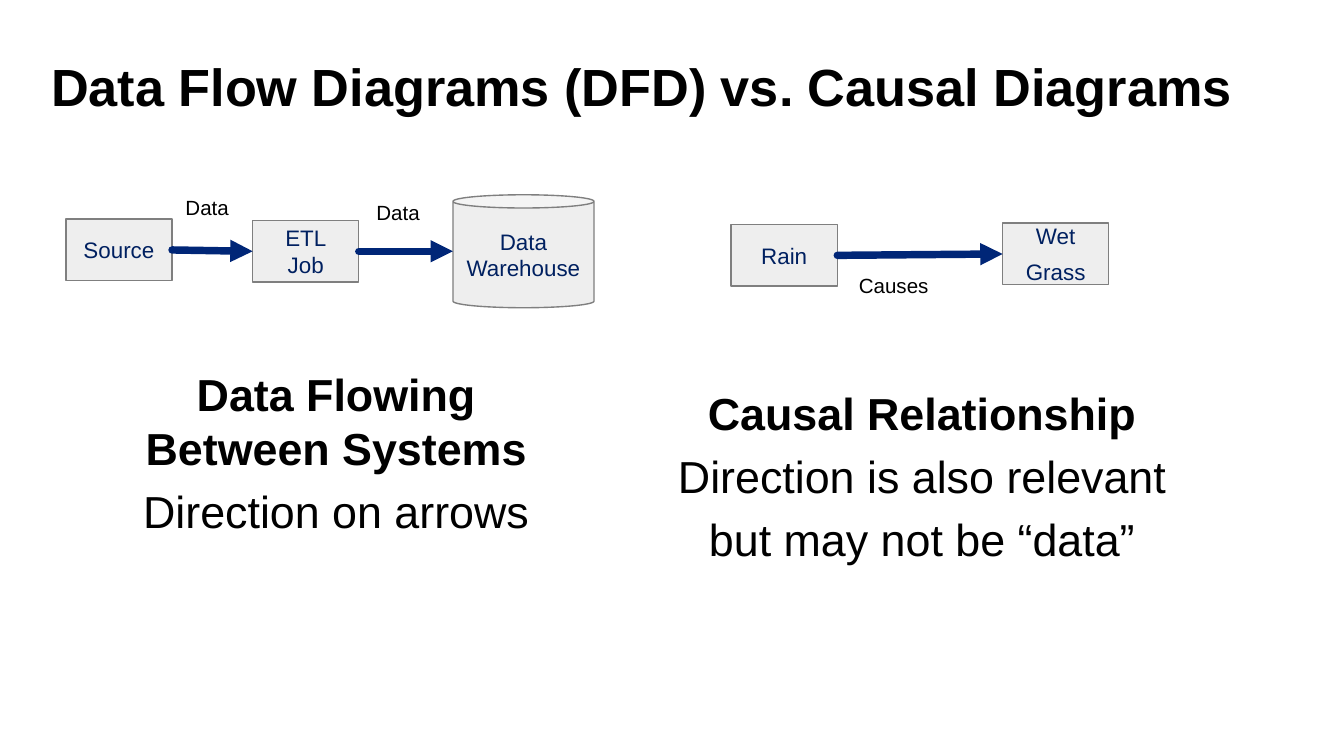
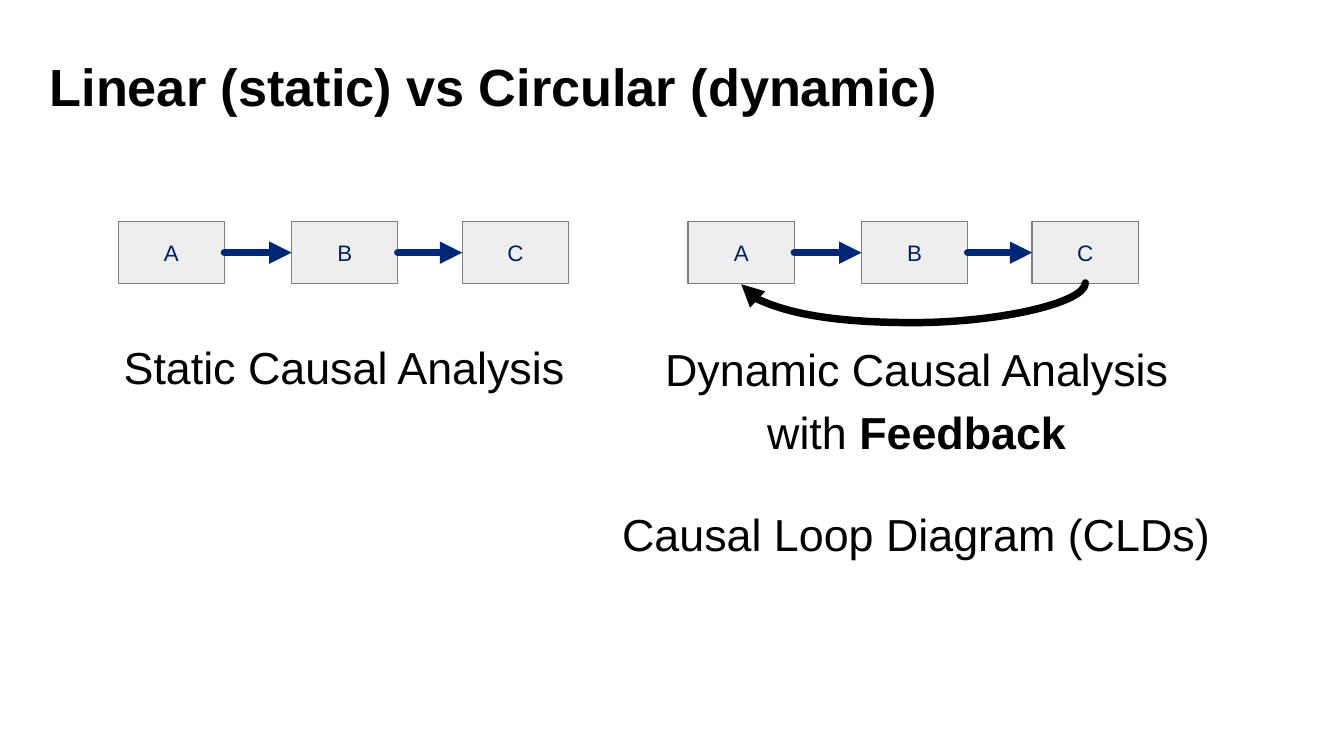
from lxml import etree
from pptx import Presentation
from pptx.dml.color import RGBColor
from pptx.enum import shapes, text
from pptx.oxml import ns
from pptx.util import Inches, Pt

FONT = "Arial"
BLACK, NAVY, ARROW_BLUE = "000000", "002060", "002677"
BOX_FILL, BOX_LINE = "EEEEEE", "7F7F7F"
BOX_WIDTH, BOX_HEIGHT = 0.79, 0.46
LEFT, CENTER = text.PP_ALIGN.LEFT, text.PP_ALIGN.CENTER

# Content: nodes are (name, lines, left, top, space before later lines);
# captions are (place, size, alignment, paragraphs of (words, bold) spans)
CHAIN = [("A", 0), ("B", 1.29), ("C", 2.56)]


def chain_nodes(prefix, left):
    return [(prefix + name, [name], left + offset, 1.65, 0) for name, offset in CHAIN]


SLIDES = [
    {
        "title": "Data Flow Diagrams (DFD) vs. Causal Diagrams",
        "title_place": (0.38, 0.46, 9.26, 0.42),
        "nodes": [
            ("source", ["Source"], 0.49, 1.63, 0),
            ("job", ["ETL", "Job"], 1.88, 1.64, 0),
            ("rain", ["Rain"], 5.44, 1.67, 0),
            ("grass", ["Wet", "Grass"], 7.46, 1.66, 5),
        ],
        "store": ("warehouse", ["Data", "Warehouse"], (3.37, 1.45, 1.05, 0.84)),
        "flows": [("source", "job"), ("job", "warehouse"), ("rain", "grass")],
        "captions": [
            ((1.04, 2.73, 2.92, 1.28), 24, CENTER,
             [[("Data Flowing\vBetween Systems", True)], [("Direction on arrows", False)]]),
            ((5.03, 2.87, 3.66, 1.35), 24, CENTER,
             [[("Causal Relationship", True)], [("Direction is also relevant", False)],
              [("but may not be “data”", False)]]),
            ((6.39, 2.03, 0.66, 0.19), 11, LEFT, [[("Causes", False)]]),
            ((1.38, 1.45, 0.4, 0.19), 11, LEFT, [[("Data", False)]]),
            ((2.8, 1.49, 0.44, 0.19), 11, LEFT, [[("Data", False)]]),
        ],
    },
    {
        "title": "Linear (static) vs Circular (dynamic)",
        "title_place": (0.37, 0.46, 7.88, 0.42),
        "nodes": chain_nodes("static ", 0.88) + chain_nodes("dynamic ", 5.12),
        "flows": [(kind + start, kind + end) for kind in ("static ", "dynamic ")
                  for start, end in ("AB", "BC")],
        "feedback": ("dynamic C", "dynamic A"),
        "captions": [
            ((0.92, 2.53, 3.31, 0.4), 24, LEFT, [[("Static Causal Analysis", False)]]),
            ((4.93, 2.54, 3.78, 0.88), 24, CENTER,
             [[("Dynamic Causal Analysis", False)], [("with ", False), ("Feedback", True)]]),
            ((4.61, 3.77, 4.41, 0.4), 24, CENTER, [[("Causal Loop Diagram (CLDs)", False)]]),
        ],
    },
]


def color(value):
    return RGBColor.from_string(value)


def write(frame, paragraphs, size, ink, align, gap=0, margins=(0, 0)):
    """Fill a text frame with paragraphs made of (words, bold) spans."""
    frame.word_wrap = True
    frame.margin_left = frame.margin_right = Inches(margins[0])
    frame.margin_top = frame.margin_bottom = Inches(margins[1])
    for index, spans in enumerate(paragraphs):
        para = frame.paragraphs[0] if index == 0 else frame.add_paragraph()
        para.alignment = align
        para.space_before = Pt(gap if index else 0)
        for words, bold in spans:
            # A vertical tab marks a line break inside the paragraph
            for part, line in enumerate(words.split("\v")):
                if part:
                    para.add_line_break()
                span = para.add_run()
                span.text = line
                span.font.name, span.font.size, span.font.bold = FONT, Pt(size), bold
                span.font.color.rgb = color(ink)


def add_title(page, words, place):
    title = page.shapes.title
    title.left, title.top, title.width, title.height = map(Inches, place)
    frame = title.text_frame
    write(frame, [[(words, True)]], 28, BLACK, LEFT)
    frame.vertical_anchor = text.MSO_ANCHOR.TOP
    frame.auto_size = text.MSO_AUTO_SIZE.SHAPE_TO_FIT_TEXT
    frame.paragraphs[0].line_spacing = 0.9


def add_node(page, kind, lines, place, gap=0):
    box = page.shapes.add_shape(kind, *map(Inches, place))
    box.shadow.inherit = False
    box.fill.solid()
    box.fill.fore_color.rgb = color(BOX_FILL)
    box.line.color.rgb = color(BOX_LINE)
    box.line.width = Pt(0.75)
    write(box.text_frame, [[(line, False)] for line in lines], 12, NAVY, CENTER, gap, (0.07, 0.04))
    box.text_frame.vertical_anchor = text.MSO_ANCHOR.MIDDLE
    return box


def style_arrow(arrow, ink):
    arrow.line.color.rgb = color(ink)
    arrow.line.width = Pt(4)
    properties = arrow.element.spPr
    line = properties.find(ns.qn("a:ln"))
    line.set("cap", "rnd")
    etree.SubElement(line, ns.qn("a:tailEnd"), type="triangle")
    etree.SubElement(properties, ns.qn("a:effectLst"))


def add_flow(page, start, end):
    arrow = page.shapes.add_connector(
        shapes.MSO_CONNECTOR.STRAIGHT,
        start.left + start.width, start.top + start.height // 2,
        end.left, end.top + end.height // 2)
    style_arrow(arrow, ARROW_BLUE)


def add_feedback(page, start, end, depth=0.3):
    """Curve below the boxes: a thin upright connector turned a quarter."""
    arrow = page.shapes.add_connector(shapes.MSO_CONNECTOR.CURVE, 0, 0, 0, 0)
    arrow.begin_connect(start, 2)
    arrow.end_connect(end, 2)
    start_x, end_x = arrow.begin_x, arrow.end_x
    base = start.top + start.height
    frame = arrow.element.spPr.xfrm
    frame.flipH = frame.flipV = False
    frame.set("rot", str(90 * 60000))
    thin = Inches(0.01)
    arrow.width, arrow.height = thin, start_x - end_x
    arrow.left = (start_x + end_x - thin) // 2
    arrow.top = base - arrow.height // 2
    guides = arrow.element.spPr.find(ns.qn("a:prstGeom")).find(ns.qn("a:avLst"))
    ratio = round(Inches(depth) / thin * 100000)
    etree.SubElement(guides, ns.qn("a:gd"), name="adj1", fmla=f"val {ratio}")
    style_arrow(arrow, BLACK)


def add_caption(page, place, size, align, paragraphs):
    box = page.shapes.add_textbox(*map(Inches, place))
    write(box.text_frame, paragraphs, size, BLACK, align, gap=5)
    box.text_frame.auto_size = text.MSO_AUTO_SIZE.SHAPE_TO_FIT_TEXT


def build_page(deck, content):
    page = deck.slides.add_slide(deck.slide_layouts[5])
    add_title(page, content["title"], content["title_place"])
    # Boxes and the data store
    boxes = {}
    for name, lines, left, top, gap in content["nodes"]:
        place = (left, top, BOX_WIDTH, BOX_HEIGHT)
        boxes[name] = add_node(page, shapes.MSO_SHAPE.RECTANGLE, lines, place, gap)
    if "store" in content:
        name, lines, place = content["store"]
        boxes[name] = add_node(page, shapes.MSO_SHAPE.CAN, lines, place)
        boxes[name].adjustments[0] = 0.117
    # Arrows
    for start, end in content["flows"]:
        add_flow(page, boxes[start], boxes[end])
    if "feedback" in content:
        add_feedback(page, *(boxes[name] for name in content["feedback"]))
    # Captions
    for caption in content["captions"]:
        add_caption(page, *caption)


def main():
    deck = Presentation()
    # Widescreen, 16 to 9
    deck.slide_width = Inches(10)
    deck.slide_height = deck.slide_width * 9 // 16
    for content in SLIDES:
        build_page(deck, content)
    deck.save("out.pptx")


if __name__ == "__main__":
    main()
